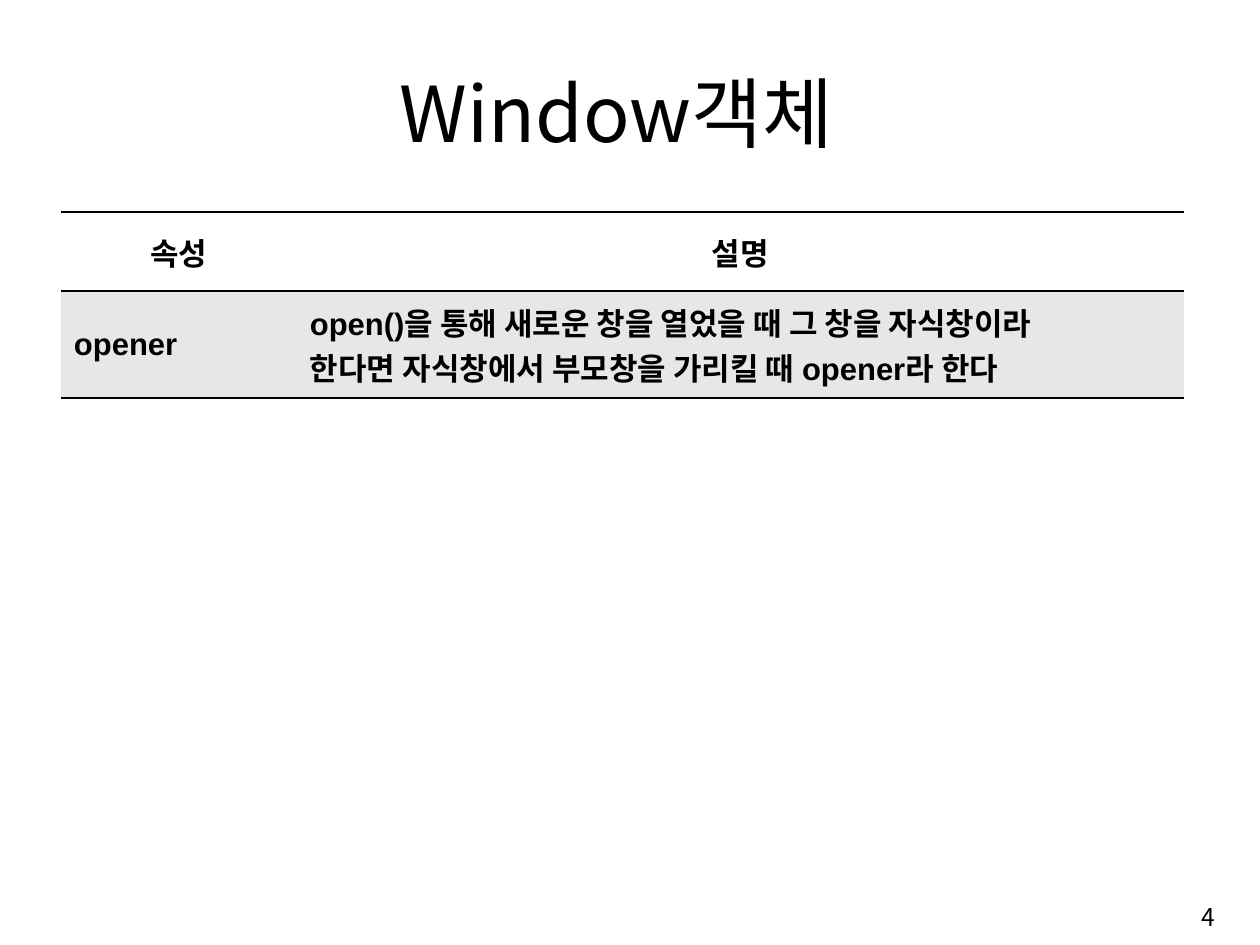
from dataclasses import dataclass
from lxml.etree import SubElement as Sub
from pptx import Presentation as Deck
from pptx.dml.color import RGBColor as Rgb
from pptx.enum.text import MSO_ANCHOR as Anc, PP_ALIGN as Al
from pptx.oxml import parse_xml
from pptx.oxml.ns import nsdecls, qn
from pptx.util import Pt


@dataclass(frozen=True)
class Theme:
    ink: str = "000000"
    paper: str = "FFFFFF"
    band: str = "E7E7E7"
    sans: str = "Noto Sans CJK KR"
    latin: str = "Arial"
    title: float = 57.2
    body: float = 23
    page: float = 18.2
    rule: float = 2


class Page:
    """Draws text and tables on one slide in a shared theme."""

    scale = 914400 / 97
    inset = {"margin_left": 13, "margin_right": 13, "margin_top": 6, "margin_bottom": 6}

    def __init__(self, deck, theme):
        self.theme = theme
        self.slide = deck.slides.add_slide(deck.slide_layouts[6])

    @classmethod
    def px(cls, *nums):
        return [round(n * cls.scale) for n in nums]

    def pad(self, item):
        for key, val in self.inset.items():
            setattr(item, key, self.px(val)[0])

    def label(self, frame, text, size, align, face, bold=False):
        frame.text = text
        style = {"size": Pt(size), "name": face, "bold": bold}
        for para in frame.paragraphs:
            para.alignment = align
            for run in para.runs:
                for key, val in style.items():
                    setattr(run.font, key, val)
                run.font.color.rgb = Rgb.from_string(self.theme.ink)
                Sub(run.font._element, qn("a:ea"), typeface=self.theme.sans)

    def text(self, box, text, size, align, anchor):
        frame = self.slide.shapes.add_textbox(*self.px(*box)).text_frame
        self.pad(frame)
        frame.word_wrap = True
        frame.vertical_anchor = anchor
        self.label(frame, text, size, align, self.theme.sans)

    def edges(self, cell):
        line = f'<a:solidFill><a:srgbClr val="{self.theme.ink}"/></a:solidFill>'
        for spot, side in enumerate("LRTB"):
            fill = line if side in "TB" else "<a:noFill/>"
            xml = f'<a:ln{side} {nsdecls("a")} w="{Pt(self.theme.rule)}">{fill}</a:ln{side}>'
            cell._tc.get_or_add_tcPr().insert(spot, parse_xml(xml))

    def table(self, left, top, cols, rows, data):
        box = self.px(left, top, sum(cols), sum(rows))
        grid = self.slide.shapes.add_table(len(rows), len(cols), *box).table
        for col, wide in zip(grid.columns, self.px(*cols)):
            col.width = wide
        for row, high in zip(grid.rows, self.px(*rows)):
            row.height = high
        look = self.theme
        for r, line in enumerate(data):
            fill, align, face = (
                (look.band, Al.LEFT, look.latin) if r else (look.paper, Al.CENTER, look.sans)
            )
            for c, text in enumerate(line):
                cell = grid.cell(r, c)
                self.pad(cell)
                cell.vertical_anchor = Anc.MIDDLE
                cell.fill.solid()
                cell.fill.fore_color.rgb = Rgb.from_string(fill)
                self.edges(cell)
                self.label(cell.text_frame, text, look.body, align, face, True)


def main():
    deck = Deck()
    deck.slide_width, deck.slide_height = Page.px(1260, 945)
    look = Theme()
    page = Page(deck, look)
    page.text((102, 59, 1029, 105), "Window객체", look.title, Al.CENTER, Anc.BOTTOM)
    page.text((968, 888, 260, 58), "4", look.page, Al.RIGHT, Anc.MIDDLE)
    use = "open()을 통해 새로운 창을 열었을 때 그 창을 자식창이라\n한다면 자식창에서 부모창을 가리킬 때 opener라 한다"
    page.table(61, 212, (236, 887), (79, 107), [("속성", "설명"), ("opener", use)])
    deck.save("out.pptx")


if __name__ == "__main__":
    main()
